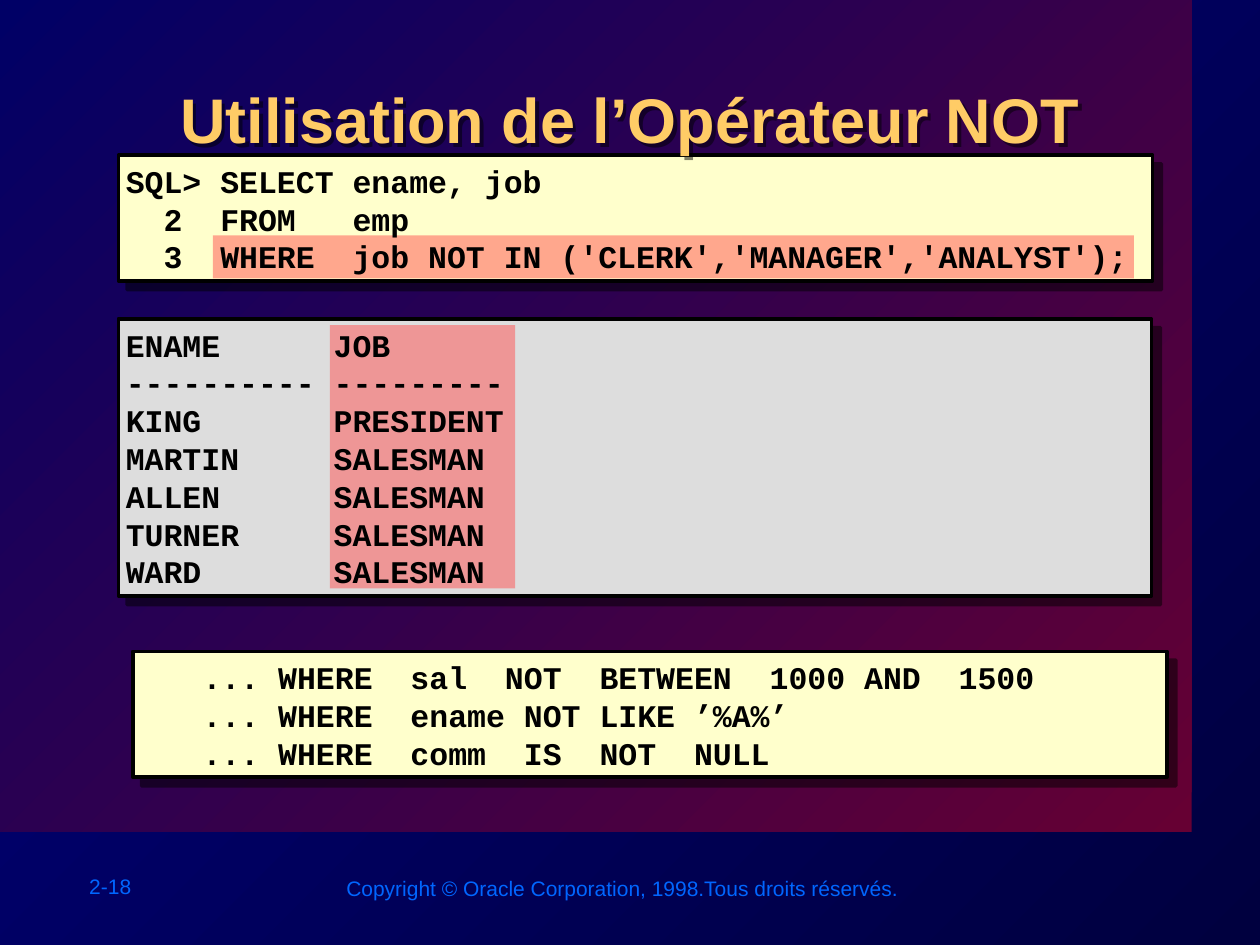
from dataclasses import dataclass
from lxml import etree
from pptx import Presentation
from pptx.dml.color import RGBColor
from pptx.enum import shapes, text
from pptx.oxml import ns
from pptx.util import Pt

HUES = {
    "night": "00003F", "navy": "000080", "wine": "660033", "ink": "000066",
    "cream": "FFFFCC", "grey": "DDDDDD", "black": "000000", "red": "FF5050",
    "gold": "FFCC66", "blue": "0066FF",
}


@dataclass
class Box:
    left: float
    top: float
    width: float
    height: float

    def place(self) -> list:
        return [Pt(v) for v in (self.left, self.top, self.width, self.height)]


@dataclass
class Code:
    frame: Box
    area: Box
    fill: str
    lines: str
    indent: float = 0


def hue(name: str) -> RGBColor:
    return RGBColor.from_string(HUES[name])


def blend(fill, start: str, end: str) -> None:
    fill.gradient()
    fill.gradient_angle = 135
    for stop, name in zip(fill.gradient_stops, (start, end)):
        stop.color.rgb = hue(name)


def fade(color, share: int) -> None:
    etree.SubElement(color, ns.qn("a:alpha"), val=str(share * 1000))


def shade(shape, dist: float) -> None:
    shape.shadow.inherit = False
    effect = shape._element.spPr.find(ns.qn("a:effectLst"))
    outer = etree.SubElement(effect, ns.qn("a:outerShdw"), blurRad="0",
                             dist=str(int(Pt(dist))), dir="2700000",
                             algn="ctr", rotWithShape="0")
    fade(etree.SubElement(outer, ns.qn("a:srgbClr"), val=HUES["black"]), 50)


def block(slide, box: Box):
    shape = slide.shapes.add_shape(shapes.MSO_SHAPE.RECTANGLE, *box.place())
    shape.shadow.inherit = False
    shape.line.fill.background()
    return shape


def frame(slide, box: Box, fill: str) -> None:
    shape = block(slide, box)
    shape.fill.solid()
    shape.fill.fore_color.rgb = hue(fill)
    shape.line.color.rgb = hue("black")
    shape.line.width = Pt(2)
    shade(shape, 7.1)


def mark(slide, box: Box) -> None:
    shape = block(slide, box)
    shape.fill.solid()
    shape.fill.fore_color.rgb = hue("red")
    fade(shape._element.spPr.find(".//" + ns.qn("a:srgbClr")), 50)


def write(slide, words: str, box: Box, *, size: float, color: str,
          font: str = "Arial", bold: bool = False, align=text.PP_ALIGN.LEFT,
          anchor=text.MSO_ANCHOR.TOP, indent: float = 0,
          shadow: bool = False) -> None:
    shape = slide.shapes.add_textbox(*box.place())
    if shadow:
        shade(shape, 3)
    body = shape.text_frame
    body.word_wrap = True
    body.vertical_anchor = anchor
    body.margin_left = body.margin_right = Pt(7.2)
    body.margin_top = body.margin_bottom = Pt(3.6)
    for i, line in enumerate(words.split("\n")):
        para = body.add_paragraph() if i else body.paragraphs[0]
        para.alignment = align
        if indent:
            props = para._p.get_or_add_pPr()
            props.set("marL", str(int(Pt(indent))))
            props.set("indent", "0")
        run = para.add_run()
        run.text = line
        run.font.name, run.font.size, run.font.bold = font, Pt(size), bold
        run.font.color.rgb = hue(color)


def script(slide, code: Code) -> None:
    write(slide, code.lines, code.area, size=18, color="black",
          font="Courier New", bold=True, anchor=text.MSO_ANCHOR.MIDDLE,
          indent=code.indent)


QUERY = Code(Box(67.7, 88.6, 591, 72), Box(64.8, 87.8, 593.3, 74.2), "cream",
             """SQL> SELECT ename, job
  2  FROM   emp
  3  WHERE  job NOT IN ('CLERK','MANAGER','ANALYST');""")

STAFF = [("ENAME", "JOB"), ("-" * 10, "-" * 9), ("KING", "PRESIDENT"),
         *((name, "SALESMAN") for name in ("MARTIN", "ALLEN", "TURNER", "WARD"))]
RESULT = Code(Box(67.7, 182.2, 590.4, 158.4), Box(64.8, 181.4, 592.6, 160.6), "grey",
              "\n".join(f"{name:<11}{job}" for name, job in STAFF))

MORE = Code(Box(75.9, 372.2, 591, 72), Box(72.7, 371.5, 593.3, 74.2), "cream",
            """... WHERE  sal  NOT  BETWEEN  1000 AND  1500
... WHERE  ename NOT LIKE ’%A%’
... WHERE  comm  IS  NOT  NULL""", 36)


def main() -> None:
    deck = Presentation()
    deck.slide_width, deck.slide_height = Pt(720), Pt(540)
    slide = deck.slides.add_slide(deck.slide_layouts[6])
    blend(slide.background.fill, "night", "navy")
    blend(block(slide, Box(0, 0, 681, 475.2)).fill, "wine", "ink")
    write(slide, "2-18", Box(43.9, 495.4, 79.9, 21.6), size=12, color="blue")
    write(slide, "Copyright © Oracle Corporation, 1998.Tous droits réservés.",
          Box(190.8, 496.8, 331.9, 21.6), size=12, color="blue")
    for code in (QUERY, RESULT):
        frame(slide, code.frame, code.fill)
    write(slide, "Utilisation de l’Opérateur NOT", Box(72.7, 42.5, 574.6, 69.1),
          size=36, color="gold", bold=True, align=text.PP_ALIGN.CENTER,
          shadow=True)
    for box in (Box(121.7, 134.6, 526.3, 24.5), Box(188.6, 185.8, 105.8, 150.5)):
        mark(slide, box)
    for code in (QUERY, RESULT):
        script(slide, code)
    frame(slide, MORE.frame, MORE.fill)
    script(slide, MORE)
    deck.save("out.pptx")


if __name__ == "__main__":
    main()
